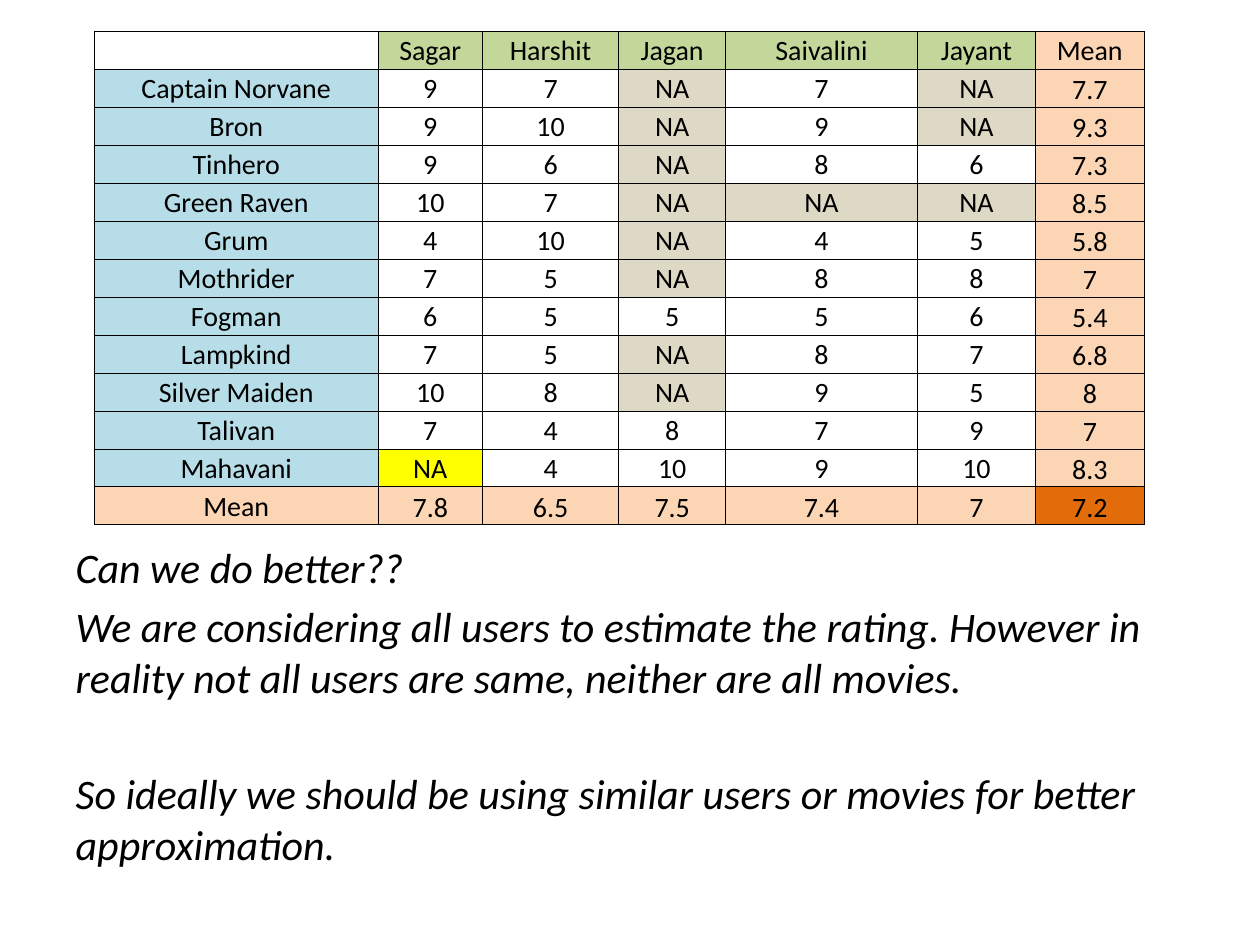
from dataclasses import dataclass

from lxml import etree
from pptx import Presentation
from pptx import util as u
from pptx.dml.color import RGBColor
from pptx.enum import text
from pptx.oxml.ns import qn


@dataclass(frozen=True)
class Theme:
    """Colours, font and type sizes of the slide."""
    font: str = "Calibri"
    ink: str = "000000"
    user: str = "C4D79B"
    movie: str = "B7DEE8"
    mean: str = "FCD5B4"
    overall: str = "E26B0A"
    missing: str = "DDD9C4"
    target: str = "FFFF00"
    cell_size: int = 16
    body_size: int = 24
    border: float = 0.5


THEME = Theme()
TARGET_CELL = (11, 1)
COLUMN_WIDTHS = [2.25, 0.83, 1.08, 0.85, 1.52, 0.94, 0.86]
RATINGS = [
    ["", "Sagar", "Harshit", "Jagan", "Saivalini", "Jayant", "Mean"],
    ["Captain Norvane", "9", "7", "NA", "7", "NA", "7.7"],
    ["Bron", "9", "10", "NA", "9", "NA", "9.3"],
    ["Tinhero", "9", "6", "NA", "8", "6", "7.3"],
    ["Green Raven", "10", "7", "NA", "NA", "NA", "8.5"],
    ["Grum", "4", "10", "NA", "4", "5", "5.8"],
    ["Mothrider", "7", "5", "NA", "8", "8", "7"],
    ["Fogman", "6", "5", "5", "5", "6", "5.4"],
    ["Lampkind", "7", "5", "NA", "8", "7", "6.8"],
    ["Silver Maiden", "10", "8", "NA", "9", "5", "8"],
    ["Talivan", "7", "4", "8", "7", "9", "7"],
    ["Mahavani", "NA", "4", "10", "9", "10", "8.3"],
    ["Mean", "7.8", "6.5", "7.5", "7.4", "7", "7.2"],
]
REMARKS = [
    "Can we do better??",
    "We are considering all users to estimate the rating. However in reality "
    "not all users are same, neither are all movies.",
    "So ideally we should be using similar users or movies for better approximation.",
]


def style_font(font, size):
    """Apply the theme font, colour and a size."""
    font.name = THEME.font
    font.size = u.Pt(size)
    font.color.rgb = RGBColor.from_string(THEME.ink)


def cell_color(row, column, value):
    """Return the fill of a rating cell, or None for no fill."""
    last_row, last_column = len(RATINGS) - 1, len(COLUMN_WIDTHS) - 1
    if (row, column) == (last_row, last_column):
        return THEME.overall
    if row == last_row or column == last_column:
        return THEME.mean
    if (row, column) == TARGET_CELL:
        return THEME.target
    if value == "NA":
        return THEME.missing
    if not value:
        return None
    if row == 0:
        return THEME.user
    return THEME.movie if column == 0 else None


def add_borders(cell):
    """Draw a thin line on all four sides of a cell."""
    properties = cell._tc.get_or_add_tcPr()
    for position, side in enumerate(("lnL", "lnR", "lnT", "lnB")):
        line = etree.Element(qn(f"a:{side}"), w=str(u.Pt(THEME.border)))
        fill = etree.SubElement(line, qn("a:solidFill"))
        etree.SubElement(fill, qn("a:srgbClr"), val=THEME.ink)
        properties.insert(position, line)


def fill_cell(cell, value, color, anchor):
    """Write and format one table cell."""
    cell.margin_left = cell.margin_right = cell.margin_top = u.Inches(0.01)
    cell.margin_bottom = 0
    cell.vertical_anchor = anchor
    cell.text_frame.text = value
    paragraph = cell.text_frame.paragraphs[0]
    paragraph.alignment = text.PP_ALIGN.CENTER
    for run in paragraph.runs:
        style_font(run.font, THEME.cell_size)
    if not value:
        paragraph._p.get_or_add_endParaRPr().set("sz", str(THEME.cell_size * 100))
    if color:
        cell.fill.solid()
        cell.fill.fore_color.rgb = RGBColor.from_string(color)
    else:
        cell.fill.background()
    add_borders(cell)


def add_ratings_table(slide, left, top, width, height):
    """Place the table of ratings with its means in the given box."""
    frame = slide.shapes.add_table(len(RATINGS), len(COLUMN_WIDTHS), left, top, width, height)
    table = frame.table
    table.first_row = table.horz_banding = False
    for column, share in zip(table.columns, COLUMN_WIDTHS):
        column.width = int(width * share / sum(COLUMN_WIDTHS))
    for row, values in enumerate(RATINGS):
        for column, value in enumerate(values):
            color = cell_color(row, column, value)
            is_mean = row and column and color in (THEME.mean, THEME.overall)
            anchor = text.MSO_ANCHOR.BOTTOM if is_mean else text.MSO_ANCHOR.MIDDLE
            fill_cell(table.cell(row, column), value, color, anchor)


def fill_remarks(body, left, top, width, height):
    """Move the body placeholder to the given box and write the remarks."""
    body.left, body.top, body.width, body.height = left, top, width, height
    body.text_frame.text = "\n".join(REMARKS)
    for paragraph in body.text_frame.paragraphs:
        properties = paragraph._p.get_or_add_pPr()
        properties.set("marL", "0")
        properties.set("indent", "0")
        etree.SubElement(properties, qn("a:buNone"))
        for run in paragraph.runs:
            style_font(run.font, THEME.body_size)
            run.font.italic = True
    body.text_frame.paragraphs[-1].space_before = u.Pt(38)


def build_slide(presentation):
    """Build the slide with the ratings above the remarks."""
    slide = presentation.slides.add_slide(presentation.slide_layouts[1])
    title = slide.shapes.title
    title.element.getparent().remove(title.element)
    fill_remarks(slide.placeholders[1], u.Inches(0.5), u.Inches(4.25), u.Inches(9), u.Inches(2.92))
    add_ratings_table(slide, u.Inches(0.75), u.Inches(0.25), u.Inches(8.33), u.Inches(3.92))


presentation = Presentation()
presentation.slide_width = u.Inches(10)
presentation.slide_height = u.Inches(7.5)
build_slide(presentation)
presentation.save("out.pptx")
